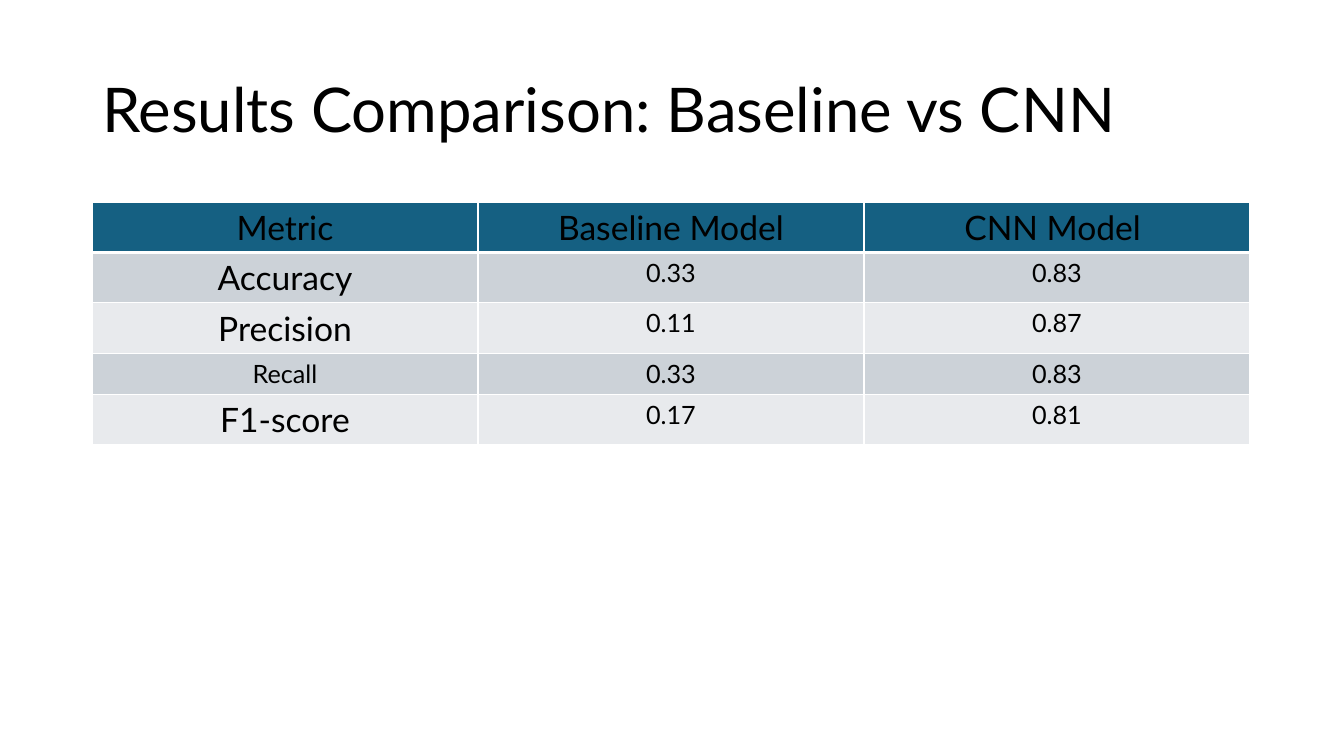
"""Build the slide that compares the baseline and CNN results."""
import dataclasses

import lxml.etree
import pptx
import pptx.dml.color
import pptx.enum.text
import pptx.oxml.ns
import pptx.util


@dataclasses.dataclass(frozen=True)
class Theme:
    font: str = "Lato"
    ink: str = "000000"
    rule: str = "FFFFFF"
    header: str = "156082"
    bands: tuple = ("CCD2D8", "E8EAED")
    title_size: int = 44
    label_size: int = 24
    value_size: int = 18
    thin: int = 1
    thick: int = 3


EMU_PER_PX = 12192000 / 1344
LEFT = 92
COLUMN_WIDTH = 386
ROW_HEIGHT = 41
RESULTS = [
    ("Metric", "Baseline Model", "CNN Model "),
    ("Accuracy", "0.33", "0.83"),
    ("Precision", "0.11", "0.87"),
    ("Recall", "0.33", "0.83"),
    ("F1-score", "0.17", "0.81"),
]
SMALL_LABELS = {"Recall"}


def px(length):
    return pptx.util.Emu(round(length * EMU_PER_PX))


def rgb(color):
    return pptx.dml.color.RGBColor.from_string(color)


def write(frame, text, *, font, size, color, align, line_spacing=None):
    para = frame.paragraphs[0]
    para.alignment = align
    para.line_spacing = line_spacing
    span = para.add_run()
    span.text = text
    span.font.name = font
    span.font.size = pptx.util.Pt(size)
    span.font.color.rgb = rgb(color)


class SlideBuilder:
    def __init__(self, deck, theme):
        self.theme = theme
        self.slide = deck.slides.add_slide(deck.slide_layouts.get_by_name("Title Only"))

    def title(self, text, left, top, width, height):
        box = self.slide.shapes.title
        box.left, box.top, box.width, box.height = map(px, (left, top, width, height))
        frame = box.text_frame
        frame.word_wrap = True
        frame.auto_size = pptx.enum.text.MSO_AUTO_SIZE.NONE
        frame.vertical_anchor = pptx.enum.text.MSO_ANCHOR.MIDDLE
        write(frame, text, font=self.theme.font, size=self.theme.title_size,
              color=self.theme.ink, align=pptx.enum.text.PP_ALIGN.LEFT, line_spacing=0.9)

    def border(self, cell, side, points):
        line = lxml.etree.SubElement(cell._tc.get_or_add_tcPr(),
                                     pptx.oxml.ns.qn(f"a:ln{side}"),
                                     w=str(pptx.util.Pt(points)))
        fill = lxml.etree.SubElement(line, pptx.oxml.ns.qn("a:solidFill"))
        lxml.etree.SubElement(fill, pptx.oxml.ns.qn("a:srgbClr"), val=self.theme.rule)

    def cell(self, cell, text, row, column):
        theme = self.theme
        edges = {"L": theme.thin, "R": theme.thin,
                 "T": theme.thick if row == 1 else theme.thin,
                 "B": theme.thick if row == 0 else theme.thin}
        for side, points in edges.items():
            self.border(cell, side, points)
        cell.fill.solid()
        cell.fill.fore_color.rgb = rgb(theme.bands[(row - 1) % 2] if row else theme.header)
        large = row == 0 or (column == 0 and text not in SMALL_LABELS)
        write(cell.text_frame, text, font=theme.font,
              size=theme.label_size if large else theme.value_size,
              color=theme.ink, align=pptx.enum.text.PP_ALIGN.CENTER)

    def table(self, rows, left, top, column_width, row_height):
        columns = len(rows[0])
        table = self.slide.shapes.add_table(
            len(rows), columns, px(left), px(top),
            px(column_width * columns), px(row_height * len(rows))).table
        for column in table.columns:
            column.width = px(column_width)
        for row, texts in enumerate(rows):
            table.rows[row].height = px(row_height)
            for column, text in enumerate(texts):
                self.cell(table.cell(row, column), text, row, column)


def main():
    deck = pptx.Presentation()
    deck.slide_width, deck.slide_height = px(1344), px(756)
    page = SlideBuilder(deck, Theme())
    page.title("Results Comparison: Baseline vs CNN", LEFT, 40, 1159, 146)
    page.table(RESULTS, LEFT, 202, COLUMN_WIDTH, ROW_HEIGHT)
    deck.save("out.pptx")


if __name__ == "__main__":
    main()
